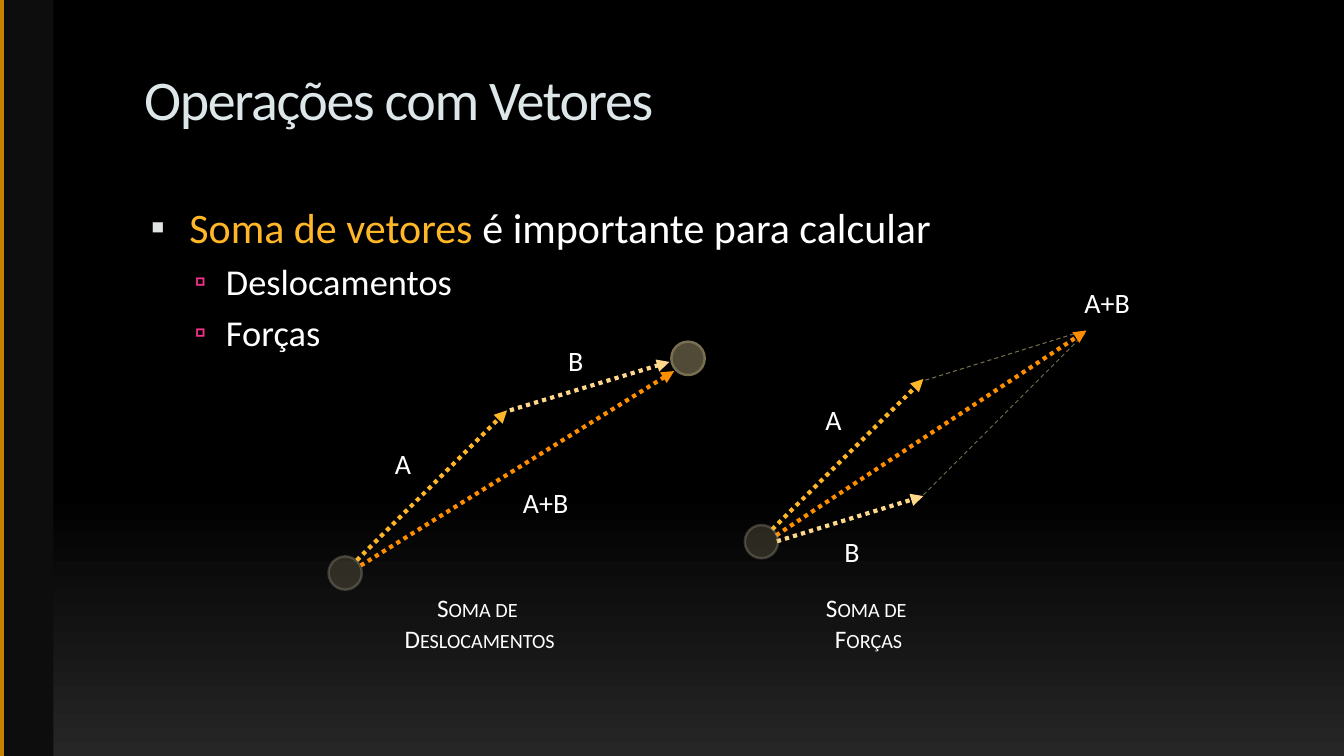
"""Builds the slide on vector addition: displacements and forces."""
from lxml import etree
from pptx import Presentation
from pptx import util as u
from pptx.dml.color import RGBColor
from pptx.enum import dml, shapes, text
from pptx.oxml.ns import qn

COLORS = {"black": "000000", "glow": "262626", "sidebar": "0D0D0D", "edge": "C58300",
          "title": "DDE6E8", "text": "FFFFFF", "a": "FFB728", "b": "FFD88B", "sum": "FF8D00",
          "guide": "786F51", "start": "9D936F", "start_rim": "C4BEA9",
          "end": "504A36", "bullet": "E0E4E5", "sub_bullet": "F03288"}
FONT = "Calibri"
WIDTH, HEIGHT = 33.87, 19.05
BALL = 0.84
LABEL_HEIGHT, CAPTION_TOP, CAPTION_HEIGHT = 1.12, 14.81, 1.8
LABEL_WIDTHS = {"A": 0.91, "B": 0.89, "A+B": 1.68}

TITLE = "Operações com Vetores"
BULLETS = [
    (0, [("Soma de vetores", "a"), (" é importante para calcular", "text")]),
    (1, [("Deslocamentos", "text")]),
    (1, [("Forças", "text")]),
]
LEVELS = [
    {"size": 30, "before": 0, "left": 1.14, "hang": 0.97, "mark": "▪", "color": "bullet", "scale": 95},
    {"size": 26, "before": 5.2, "left": 2.06, "hang": 0.79, "mark": "▫", "color": "sub_bullet", "scale": 90},
]
DIAGRAMS = [
    {"vectors": [("a", 19.46, 13.34, 23.27, 9.55), ("b", 19.58, 13.64, 23.27, 12.5),
                 ("guide", 23.32, 9.58, 27.33, 8.33), ("guide", 23.27, 12.47, 27.33, 8.41),
                 ("sum", 19.56, 13.49, 27.38, 8.33)],
     "labels": [("A", 20.55, 10.03), ("B", 21.03, 13.34), ("A+B", 27.08, 7.06)],
     "balls": [("start", 18.77, 13.23)],
     "caption": (["Soma de ", "Forças"], 20.52, 2.74)},
    {"vectors": [("a", 8.99, 14.12, 12.78, 10.34), ("b", 12.85, 10.34, 16.87, 9.12),
                 ("sum", 9.09, 14.25, 16.99, 9.35)],
     "labels": [("A", 9.7, 11.13), ("B", 14.07, 8.53), ("A+B", 12.93, 12.12)],
     "balls": [("start", 8.28, 14.02), ("end", 16.92, 8.61)],
     "caption": (["Soma de ", "Deslocamentos"], 9.93, 4.32)},
]


def rgb(name):
    return RGBColor.from_string(COLORS[name])


def add(parent, tag, **attributes):
    return etree.SubElement(parent, qn(tag), attributes)


def place(part, left, top, width, height):
    part.left, part.top, part.width, part.height = map(u.Cm, (left, top, width, height))


def add_run(paragraph, words, size, color):
    run = paragraph.add_run()
    run.text = words
    run.font.name, run.font.size = FONT, u.Pt(size)
    run.font.color.rgb = rgb(color)
    return run


def add_line(parent, color, ends, weight, dash=None, arrow=False):
    line = parent.add_connector(shapes.MSO_CONNECTOR.STRAIGHT, *map(u.Cm, ends))
    line.line.color.rgb, line.line.width = rgb(color), u.Pt(weight)
    if dash:
        line.line.dash_style = dash
    if arrow:
        add(line.line._get_or_add_ln(), "a:tailEnd", type="triangle")
    add(line._element.spPr, "a:effectLst")


def add_ball(parent, kind, left, top):
    ball = parent.add_shape(shapes.MSO_SHAPE.OVAL, *map(u.Cm, (left, top, BALL, BALL)))
    ball.shadow.inherit = False
    ball.fill.solid()
    ball.fill.fore_color.rgb = rgb(kind)
    ball.line.color.rgb = rgb("start_rim" if kind == "start" else "guide")
    ball.line.width = u.Pt(1.75)
    if kind == "start":
        for color in ball._element.spPr.iter(qn("a:srgbClr")):
            add(color, "a:alpha", val="25000")


def add_label(parent, lines, box, size, small_caps=False):
    label = parent.add_textbox(*map(u.Cm, box)).text_frame
    label.word_wrap = False
    label.auto_size = text.MSO_AUTO_SIZE.SHAPE_TO_FIT_TEXT
    paragraph = label.paragraphs[0]
    if small_caps:
        paragraph.alignment = text.PP_ALIGN.CENTER
    for number, words in enumerate(lines):
        if number:
            paragraph.add_line_break()
        run = add_run(paragraph, words, size, "text")
        if small_caps:
            run.font._element.set("cap", "small")


def paint_background(slide):
    fill = slide.background.fill
    fill.gradient()
    fill.gradient_angle = 270
    stops = next(slide.background._cSld.iter(qn("a:gsLst")))
    for stop in list(stops):
        stops.remove(stop)
    for position, color in ((0, "black"), (65, "black"), (100, "glow")):
        add(add(stops, "a:gs", pos=str(position * 1000)), "a:srgbClr", val=COLORS[color])


def add_sidebar(slide):
    sidebar = slide.shapes.add_shape(shapes.MSO_SHAPE.RECTANGLE, 0, 0, u.Cm(1.35), u.Cm(HEIGHT))
    sidebar.shadow.inherit = False
    sidebar.fill.solid()
    sidebar.fill.fore_color.rgb = rgb("sidebar")
    sidebar.line.fill.background()
    add_line(slide.shapes, "edge", (0.05, 0, 0.05, HEIGHT), 3)


def fill_title(title):
    place(title, 3.38, 1.42, 24.16, 2.54)
    frame = title.text_frame
    frame.vertical_anchor = text.MSO_ANCHOR.TOP
    frame.margin_top = u.Cm(0.2)
    frame.paragraphs[0].alignment = text.PP_ALIGN.LEFT
    run = add_run(frame.paragraphs[0], TITLE, 40, "title")
    run.font._element.set("spc", "-100")


def fill_body(body):
    place(body, 3.38, 4.95, 28.78, 12.7)
    frame = body.text_frame
    for number, (level, runs) in enumerate(BULLETS):
        paragraph = frame.add_paragraph() if number else frame.paragraphs[0]
        style = LEVELS[level]
        paragraph.level = level
        paragraph.space_before = u.Pt(style["before"])
        properties = paragraph._p.get_or_add_pPr()
        properties.set("marL", str(u.Cm(style["left"])))
        properties.set("indent", str(-u.Cm(style["hang"])))
        add(add(properties, "a:buClr"), "a:srgbClr", val=COLORS[style["color"]])
        add(properties, "a:buSzPct", val=str(style["scale"] * 1000))
        add(properties, "a:buFont", typeface=FONT)
        add(properties, "a:buChar", char=style["mark"])
        for words, color in runs:
            add_run(paragraph, words, style["size"], color)


def add_diagram(slide, diagram):
    parts = slide.shapes.add_group_shape().shapes
    for kind, *ends in diagram["vectors"]:
        if kind == "guide":
            add_line(parts, kind, ends, 0.75, dml.MSO_LINE.DASH)
        else:
            add_line(parts, kind, ends, 3, dml.MSO_LINE.ROUND_DOT, arrow=True)
    for ball in diagram["balls"]:
        add_ball(parts, *ball)
    for name, left, top in diagram["labels"]:
        add_label(parts, [name], (left, top, LABEL_WIDTHS[name], LABEL_HEIGHT), 20)
    lines, left, width = diagram["caption"]
    add_label(parts, lines, (left, CAPTION_TOP, width, CAPTION_HEIGHT), 18, small_caps=True)


def main():
    deck = Presentation()
    deck.slide_width, deck.slide_height = u.Cm(WIDTH), u.Cm(HEIGHT)
    slide = deck.slides.add_slide(deck.slide_layouts[1])
    paint_background(slide)
    add_sidebar(slide)
    fill_title(slide.shapes.title)
    fill_body(slide.placeholders[1])
    for diagram in DIAGRAMS:
        add_diagram(slide, diagram)
    deck.save("out.pptx")


if __name__ == "__main__":
    main()
